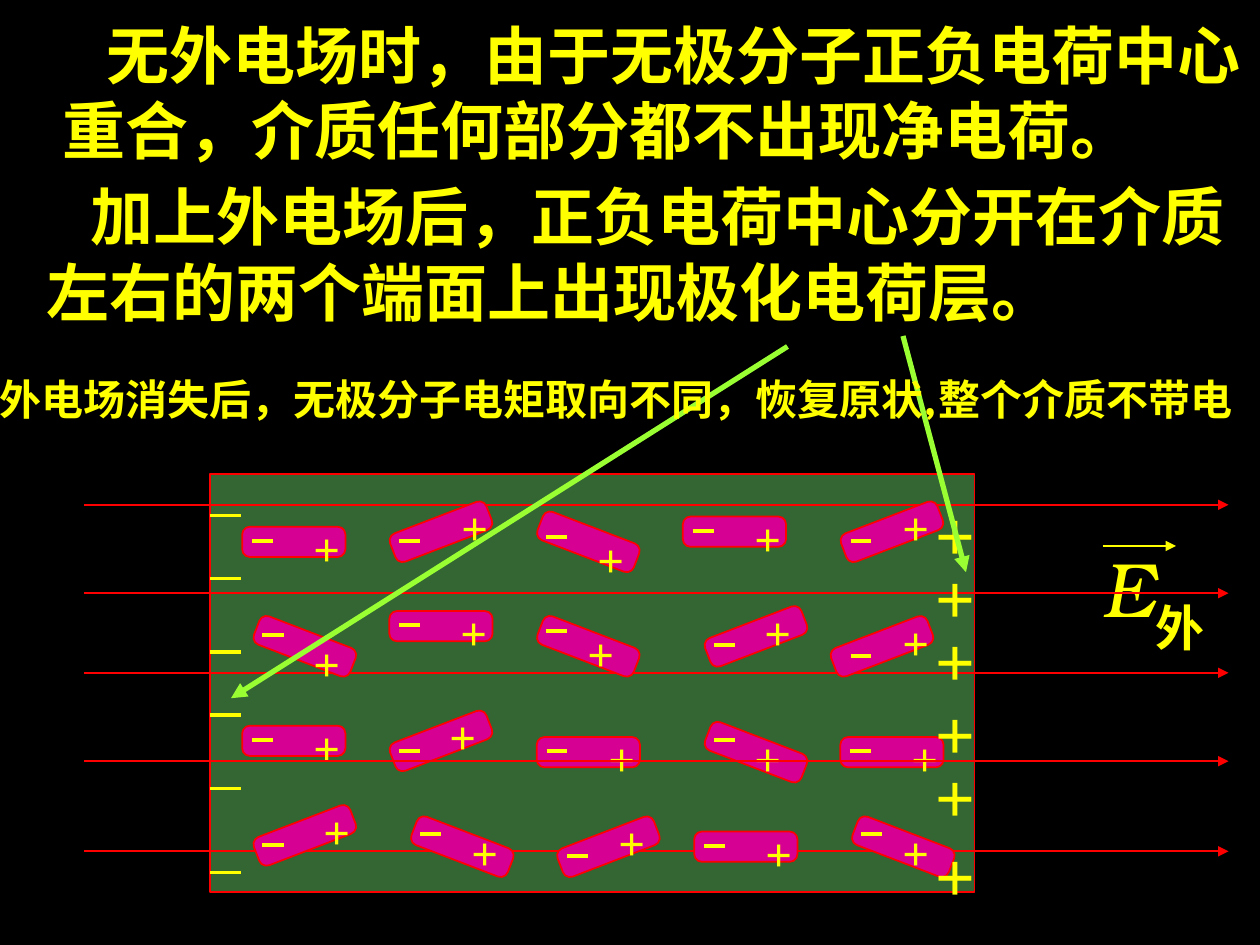
import pptx
import pptx.dml.color
import pptx.enum.shapes
import pptx.enum.text
import pptx.oxml.ns
import pptx.util
from lxml import etree

Pt = pptx.util.Pt
RGBColor = pptx.dml.color.RGBColor
SHAPE = pptx.enum.shapes.MSO_SHAPE

BLACK = RGBColor(0x00, 0x00, 0x00)
YELLOW = RGBColor(0xFF, 0xFF, 0x00)
RED = RGBColor(0xFF, 0x00, 0x00)
GREEN = RGBColor(0x33, 0x66, 0x33)
LIME = RGBColor(0x99, 0xFF, 0x33)
MAGENTA = RGBColor(0xD6, 0x00, 0x93)

LEVEL, RISING, FALLING = 0, -21, 21

# Molecules: left, top, tilt, corner of the "+" label, start of the minus bar
TILTED = [
    (222.5, 295.2, RISING, (257, 281.5), (228, 309)),
    (306.7, 301, FALLING, (334.8, 299.5), (312, 306.7)),
    (480.2, 295.2, RISING, (509, 281.5), (486, 309)),
    (144.7, 360.7, FALLING, (172.8, 359.3), (150, 363)),
    (306.7, 360.7, FALLING, (329, 353.5), (312, 360.7)),
    (402.5, 355, RISING, (430.6, 341.3), (408, 368.8)),
    (474.5, 360.7, RISING, (509, 347), (486, 375)),
    (222.5, 414.7, RISING, (250.6, 401), (228, 429)),
    (402.5, 421.2, FALLING, (424.8, 413.3), (408, 422.7)),
    (144.7, 468.7, RISING, (178.6, 455), (150, 483)),
    (234.7, 475.2, FALLING, (262.8, 467.3), (240, 476.7)),
    (318.2, 475.2, RISING, (347, 461.5), (324, 489)),
    (486.7, 475.2, FALLING, (509, 467.3), (492, 476.7)),
]
LEVEL_CORNERS = [
    (138.4, 301), (390.2, 295.2), (222.5, 349.2), (138.4, 414.7),
    (306.7, 421.2), (480.2, 421.2), (396.7, 475.2),
]
MOLECULES = TILTED + [
    (left, top, LEVEL, (left + 34.4, top - 7.8), (left + 5.6, top + 8))
    for left, top in LEVEL_CORNERS
]

FIELD_BEHIND = [288.5, 384.5, 486.5]
FIELD_IN_FRONT = [339, 435]
NEGATIVE_LAYER = [294.5, 330.5, 372.5, 408.5, 450.5, 498.5]
POSITIVE_LAYER = [276.5, 312.5, 348.5, 390.5, 426.5, 471.5]


class Board:
    def __init__(self, slide, font):
        self.slide = slide
        self.font = font
        background = slide.background.fill
        background.solid()
        background.fore_color.rgb = BLACK

    def block(self, kind, left, top, width, height, fill, tilt=0):
        shape = self.slide.shapes.add_shape(
            kind, Pt(left), Pt(top), Pt(width), Pt(height))
        shape.shadow.inherit = False
        shape.fill.solid()
        shape.fill.fore_color.rgb = fill
        shape.line.color.rgb = RED
        shape.line.width = Pt(1)
        shape.rotation = tilt
        return shape

    def line(self, start, end, color, weight, arrow=False):
        connector = self.slide.shapes.add_connector(
            pptx.enum.shapes.MSO_CONNECTOR.STRAIGHT,
            *(Pt(length) for length in (*start, *end)))
        connector.line.color.rgb = color
        connector.line.width = Pt(weight)
        qn = pptx.oxml.ns.qn
        if arrow:
            etree.SubElement(connector.line._get_or_add_ln(),
                             qn("a:tailEnd"), type="triangle")
        etree.SubElement(connector._element.spPr, qn("a:effectLst"))

    def text(self, left, top, width, height, words, size,
             bold=False, italic=False, indent=0):
        """Add unwrapped text; indent moves only the first line."""
        box = self.slide.shapes.add_textbox(
            Pt(left), Pt(top), Pt(width), Pt(height))
        frame = box.text_frame
        frame.text = words
        frame.word_wrap = False
        frame.auto_size = pptx.enum.text.MSO_AUTO_SIZE.SHAPE_TO_FIT_TEXT
        if indent:
            frame.paragraphs[0]._p.get_or_add_pPr().set(
                "indent", str(Pt(indent)))
        for paragraph in frame.paragraphs:
            for run in paragraph.runs:
                run.font.name = self.font
                run.font.size = Pt(size)
                run.font.bold = bold
                run.font.italic = italic
                run.font.color.rgb = YELLOW

    def field_line(self, y):
        self.line((48, y), (702, y), RED, 1, arrow=True)

    def molecule(self, left, top, tilt, plus, minus):
        pill = self.block(SHAPE.ROUNDED_RECTANGLE, left, top, 59, 17.3,
                          MAGENTA, tilt)
        pill.adjustments[0] = 0.255
        self.text(*plus, 28.8, 36, "+", 24)
        x, y = minus
        self.line((x, y), (x + 12, y), YELLOW, 2.25)


def main():
    deck = pptx.Presentation()
    deck.slide_width, deck.slide_height = Pt(720), Pt(540)
    board = Board(deck.slides.add_slide(deck.slide_layouts[6]),
                  "TeX Gyre Bonum")

    board.block(SHAPE.RECTANGLE, 120, 270.7, 437, 239, GREEN)
    for y in FIELD_BEHIND:
        board.field_line(y)

    board.text(622.8, 305.3, 44.6, 59.8, "E", 44, italic=True)
    board.text(653, 337.7, 42.5, 41, "外", 28, bold=True)
    board.line((630, 312), (672, 312), YELLOW, 1, arrow=True)

    for molecule in MOLECULES:
        board.molecule(*molecule)
    for y in NEGATIVE_LAYER:
        board.line((120, y), (138, y), YELLOW, 2)
    for y in FIELD_IN_FRONT:
        board.field_line(y)
    for top in POSITIVE_LAYER:
        board.text(527.8, top, 36, 50.4, "+", 36)

    board.line((516, 192), (552, 327), LIME, 3, arrow=True)
    board.line((450, 198), (132, 399), LIME, 3, arrow=True)

    board.text(19.4, 98, 690.5, 93.6,
               "加上外电场后，正负电荷中心分开在介质\n"
               "左右的两个端面上出现极化电荷层。", 36, bold=True, indent=25)
    board.text(28.8, 5.8, 690.5, 93.6,
               "无外电场时，由于无极分子正负电荷中心\n"
               "重合，介质任何部分都不出现净电荷。", 36, bold=True, indent=25)
    board.text(-7.2, 210.2, 730, 36,
               "外电场消失后，无极分子电矩取向不同，恢复原状,整个介质不带电",
               24, bold=True)

    deck.save("out.pptx")


if __name__ == "__main__":
    main()
